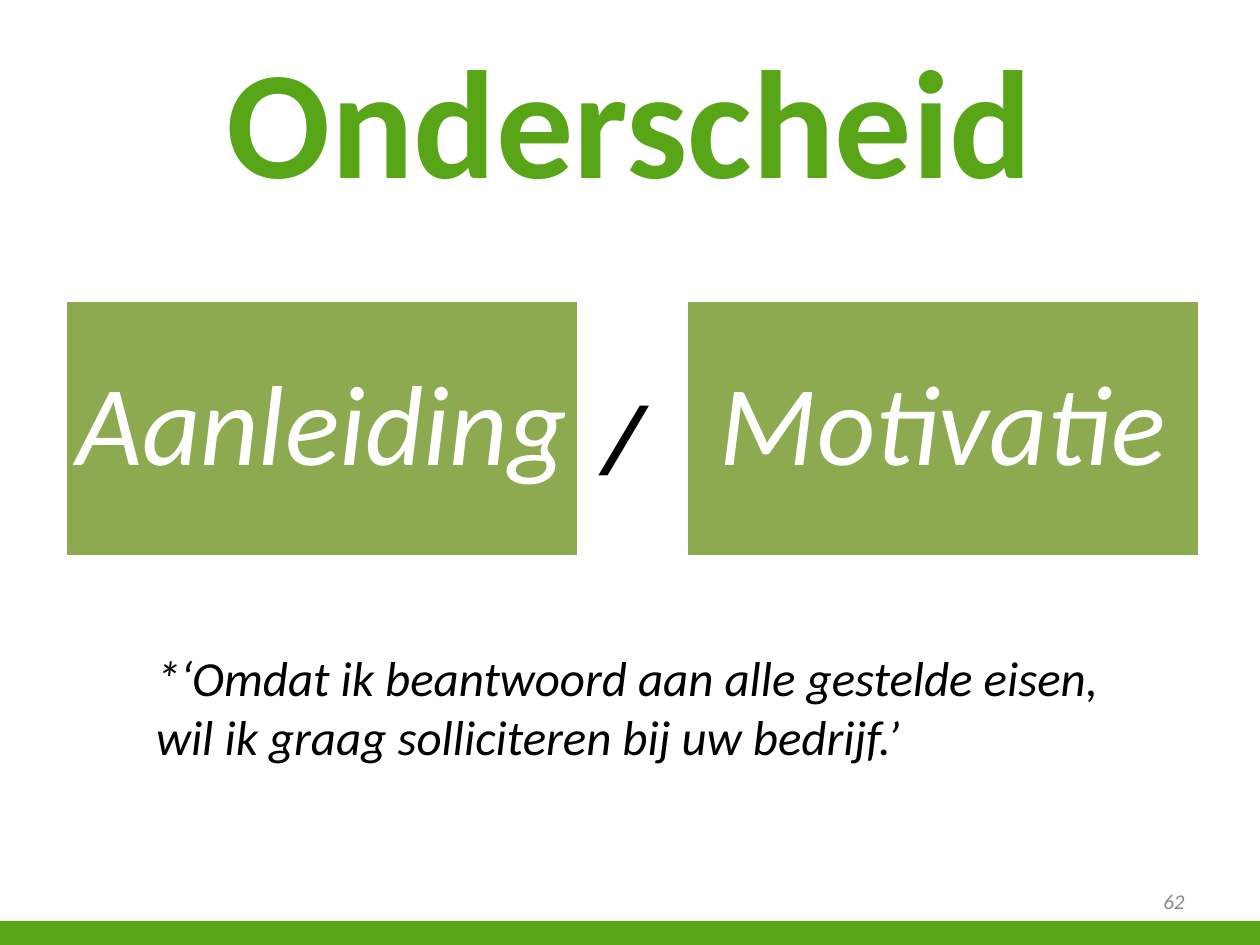
"""Builds the slide that sets occasion apart from motivation."""
import pptx
import pptx.dml.color
import pptx.enum.shapes
import pptx.enum.text
import pptx.util

Inches = pptx.util.Inches
Align = pptx.enum.text.PP_ALIGN
Anchor = pptx.enum.text.MSO_ANCHOR

COLORS = {
    "green": "58A618",
    "olive": "8DAA51",
    "white": "FFFFFF",
    "black": "000000",
    "gray": "898989",
}


def rgb(name):
    """Return the named colour."""
    return pptx.dml.color.RGBColor.from_string(COLORS[name])


def write(shape, text, size, color, align=Align.LEFT, anchor=Anchor.TOP,
          bold=False, italic=True):
    """Put one formatted paragraph into a shape."""
    frame = shape.text_frame
    frame.word_wrap = True
    frame.vertical_anchor = anchor
    frame.text = text
    paragraph = frame.paragraphs[0]
    paragraph.alignment = align
    font = paragraph.font
    font.name = "Calibri"
    font.size = pptx.util.Pt(size)
    font.bold = bold
    font.italic = italic
    font.color.rgb = rgb(color)
    return paragraph


def add_title(page, text):
    """Place and fill the title placeholder."""
    title = page.shapes.title
    title.left, title.top = Inches(0.5), Inches(0.3)
    title.width, title.height = Inches(9), Inches(1.25)
    write(title, text, 88, "green", Align.CENTER, Anchor.MIDDLE, bold=True, italic=False)


def add_block(page, left, top, width, height, color):
    """Draw a flat rectangle without an outline."""
    block = page.shapes.add_shape(
        pptx.enum.shapes.MSO_SHAPE.RECTANGLE,
        Inches(left), Inches(top), Inches(width), Inches(height))
    block.shadow.inherit = False
    block.fill.solid()
    block.fill.fore_color.rgb = rgb(color)
    block.line.fill.background()
    return block


def add_term(page, left, text):
    """Draw an olive card that holds one term."""
    card = add_block(page, left, 2.38, 4.07, 2.04, "olive")
    card.line.color.rgb = rgb("white")
    card.line.width = pptx.util.Pt(2)
    frame = card.text_frame
    frame.margin_left = frame.margin_right = Inches(0.05)
    frame.margin_top = frame.margin_bottom = Inches(0.05)
    paragraph = write(card, text, 65, "white", Align.CENTER, Anchor.MIDDLE)
    paragraph.line_spacing = 0.9


def add_text(page, left, top, width, height, *content):
    """Add a text box with one paragraph."""
    box = page.shapes.add_textbox(
        Inches(left), Inches(top), Inches(width), Inches(height))
    write(box, *content)


def main():
    """Build and save the deck."""
    deck = pptx.Presentation()
    deck.slide_width, deck.slide_height = Inches(10), Inches(7.5)
    page = deck.slides.add_slide(deck.slide_layouts[5])
    add_block(page, 0, 7.31, 10, 0.2, "green")
    add_title(page, "Onderscheid")
    for left, term in ((0.52, "Aanleiding"), (5.45, "Motivatie")):
        add_term(page, left, term)
    add_text(page, 7.17, 6.95, 2.33, 0.4, "62", 12, "gray", Align.RIGHT, Anchor.MIDDLE)
    add_text(page, 4.53, 2.61, 0.79, 1.58, "≠", 88, "black")
    add_text(page, 1.14, 5.09, 7.8, 1.04,
             "*‘Omdat ik beantwoord aan alle gestelde eisen, "
             "wil ik graag solliciteren bij uw bedrijf.’", 28, "black")
    deck.save("out.pptx")


if __name__ == "__main__":
    main()
